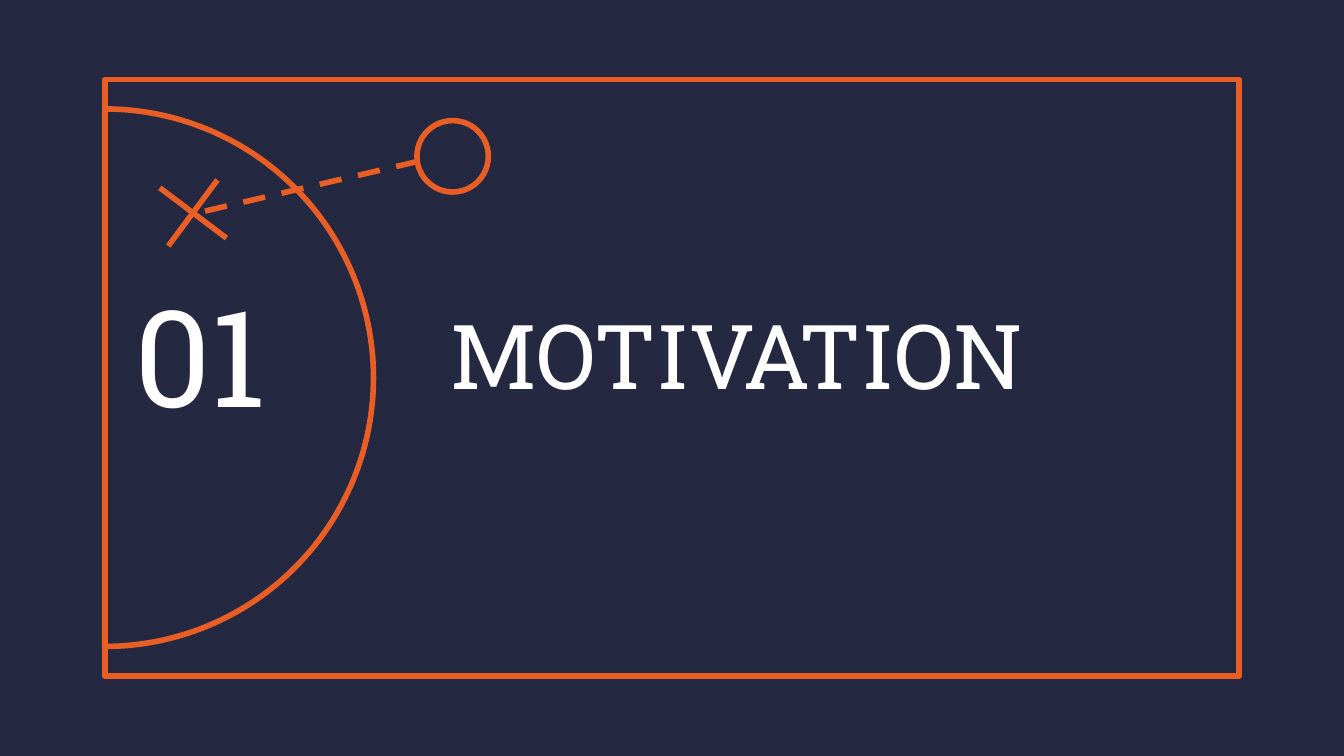
import dataclasses

import lxml.etree
import pptx
import pptx.dml.color
import pptx.enum.dml
import pptx.enum.shapes
import pptx.enum.text
import pptx.oxml.ns
import pptx.util

Cm = pptx.util.Cm
Pt = pptx.util.Pt
Shape = pptx.enum.shapes.MSO_SHAPE


@dataclasses.dataclass(frozen=True)
class Theme:
    navy: pptx.dml.color.RGBColor = pptx.dml.color.RGBColor.from_string("242841")
    orange: pptx.dml.color.RGBColor = pptx.dml.color.RGBColor.from_string("E95E24")
    white: pptx.dml.color.RGBColor = pptx.dml.color.RGBColor.from_string("FFFFFF")
    font: str = "Roboto Slab"
    title_size: int = 48
    number_size: int = 72
    stroke: int = 3


THEME = Theme()


def style_line(line):
    line.color.rgb = THEME.orange
    line.width = Pt(THEME.stroke)


def add_outline(shapes, kind, left, top, width, height, fill=None):
    shape = shapes.add_shape(kind, Cm(left), Cm(top), Cm(width), Cm(height))
    shape.shadow.inherit = False
    if fill is None:
        shape.fill.background()
    else:
        shape.fill.solid()
        shape.fill.fore_color.rgb = fill
    style_line(shape.line)
    return shape


def add_half_circle(shapes, center_x, center_y, radius):
    half = add_outline(shapes, Shape.PIE, center_x - radius, center_y - radius,
                       2 * radius, 2 * radius)
    half.adjustments[0] = 162
    half.adjustments[1] = 54


def add_stroke(shapes, start, end, dash=None):
    stroke = shapes.add_connector(
        pptx.enum.shapes.MSO_CONNECTOR.STRAIGHT,
        Cm(start[0]), Cm(start[1]), Cm(end[0]), Cm(end[1]))
    style_line(stroke.line)
    if dash is not None:
        stroke.line.dash_style = dash
    lxml.etree.SubElement(stroke._element.spPr, pptx.oxml.ns.qn("a:effectLst"))


def add_heading(shapes, text, size, left, width):
    box = shapes.add_textbox(Cm(left), Cm(4.37), Cm(width), Cm(4.62))
    frame = box.text_frame
    frame.word_wrap = True
    frame.vertical_anchor = pptx.enum.text.MSO_ANCHOR.MIDDLE
    frame.margin_left = frame.margin_right = Cm(0.25)
    frame.margin_top = frame.margin_bottom = Cm(0.25)
    para = frame.paragraphs[0]
    para.alignment = pptx.enum.text.PP_ALIGN.LEFT
    span = para.add_run()
    span.text = text
    span.font.name = THEME.font
    span.font.size = Pt(size)
    span.font.color.rgb = THEME.white


def add_play(shapes):
    play = shapes.add_group_shape().shapes
    add_outline(play, Shape.OVAL, 7.88, 2.28, 1.35, 1.35, THEME.navy)
    add_stroke(play, (4.11, 3.4), (3.18, 4.65))
    add_stroke(play, (3.02, 3.55), (4.28, 4.5))
    add_stroke(play, (7.9, 3.05), (3.66, 4.04), pptx.enum.dml.MSO_LINE.DASH)


def main():
    deck = pptx.Presentation()
    deck.slide_width, deck.slide_height = Cm(25.4), Cm(14.29)
    page = deck.slides.add_slide(deck.slide_layouts[6])
    page.background.fill.solid()
    page.background.fill.fore_color.rgb = THEME.navy

    add_outline(page.shapes, Shape.RECTANGLE, 1.98, 1.5, 21.44, 11.28)
    add_half_circle(page.shapes, 1.98, 7.14, 5.08)
    add_heading(page.shapes, "MOTIVATION", THEME.title_size, 8.26, 14.86)
    add_heading(page.shapes, "01", THEME.number_size, 2.29, 5.97)
    add_play(page.shapes)
    deck.save("out.pptx")


if __name__ == "__main__":
    main()
